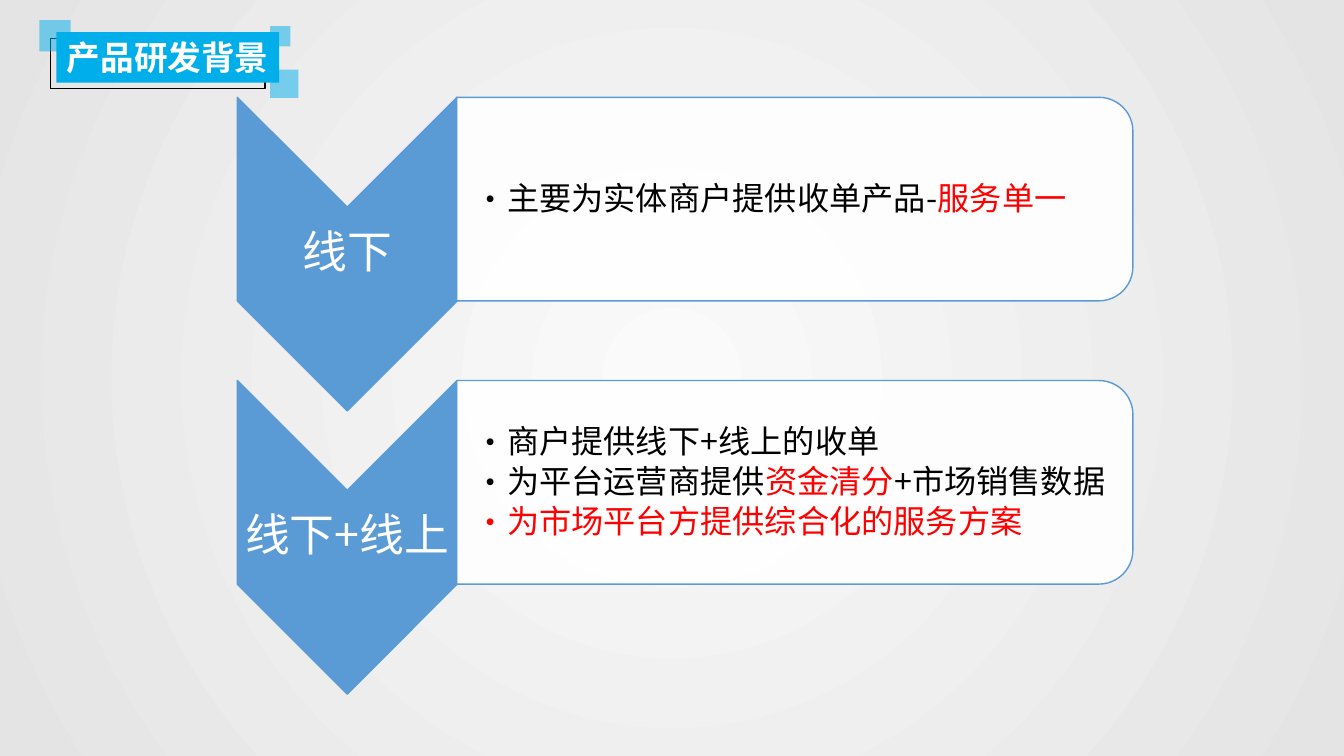
from dataclasses import dataclass

from lxml import etree
from pptx import Presentation
from pptx.dml.color import RGBColor
from pptx.enum.shapes import MSO_SHAPE
from pptx.enum.text import MSO_ANCHOR, MSO_AUTO_SIZE, PP_ALIGN
from pptx.oxml.ns import qn
from pptx.util import Pt

RECTANGLE = MSO_SHAPE.RECTANGLE
CHEVRON = MSO_SHAPE.CHEVRON
ROUNDED_TOP = MSO_SHAPE.ROUND_2_SAME_RECTANGLE
MIDDLE = MSO_ANCHOR.MIDDLE
NO_AUTOFIT = MSO_AUTO_SIZE.NONE
LEFT, CENTER = PP_ALIGN.LEFT, PP_ALIGN.CENTER
TWO_CONTENT = 3


@dataclass(frozen=True)
class Theme:
    font: str = "Noto Sans CJK SC"
    cyan: str = "00AEEA"
    blue: str = "5B9BD5"
    white: str = "FFFFFF"
    black: str = "000000"
    red: str = "FF0000"
    glow: str = "FAFAFA"
    edge: str = "E4E4E4"
    title_size: float = 24
    stage_size: float = 32
    point_size: float = 23


THEME = Theme()

# Each stage: its label and its points; a point is a list of (text, colour) runs
STAGES = [
    ("线下", [
        [("主要为实体商户提供收单产品-", THEME.black), ("服务单一", THEME.red)],
    ]),
    ("线下+线上", [
        [("商户提供线下+线上的收单", THEME.black)],
        [("为平台运营商提供", THEME.black), ("资金清分", THEME.red),
         ("+市场销售数据", THEME.black)],
        [("为市场平台方提供综合化的服务方案", THEME.red)],
    ]),
]

STAGE_TOP, STAGE_STEP = 69.5, 202.3
CHEVRON_LEFT, CHEVRON_WIDTH, CHEVRON_HEIGHT = 169.5, 157, 224
PANEL_LEFT, PANEL_WIDTH, PANEL_HEIGHT = 326.2, 483, 145.4

# Corner squares of the title: left, top, side
TITLE_SQUARES = [(193, 49.7, 20.2), (193, 18.7, 14.4), (28.1, 14.4, 22.3)]


def rgb(colour):
    return RGBColor.from_string(colour)


def place(shape, left, top, width, height):
    shape.left, shape.top = Pt(left), Pt(top)
    shape.width, shape.height = Pt(width), Pt(height)


def paint_background(slide):
    fill = slide.background.fill
    fill.gradient()
    for stop, colour in zip(fill.gradient_stops, (THEME.glow, THEME.edge)):
        stop.color.rgb = rgb(colour)
    gradient = slide.element.find(".//" + qn("a:gradFill"))
    linear = gradient.find(qn("a:lin"))
    circle = etree.Element(qn("a:path"), {"path": "circle"})
    etree.SubElement(circle, qn("a:fillToRect"),
                     {side: "50000" for side in "ltrb"})
    gradient.replace(linear, circle)


def add_block(slide, kind, box, fill=None, opacity=100, line=None):
    block = slide.shapes.add_shape(kind, *(Pt(length) for length in box))
    block.shadow.inherit = False
    if fill:
        block.fill.solid()
        block.fill.fore_color.rgb = rgb(fill)
        if opacity < 100:
            colour = block.element.spPr.find(".//" + qn("a:srgbClr"))
            etree.SubElement(colour, qn("a:alpha"), val=str(opacity * 1000))
    else:
        block.fill.background()
    if line:
        block.line.color.rgb = rgb(line)
        block.line.width = Pt(1)
    else:
        block.line.fill.background()
    return block


def add_turned_block(slide, kind, box, **style):
    """Fill the given box with a shape turned a quarter clockwise."""
    left, top, width, height = box
    shift = (width - height) / 2
    block = add_block(slide, kind, (left + shift, top - shift, height, width),
                      **style)
    block.rotation = 90


def set_frame(frame, margins, wrap=True):
    frame.auto_size = NO_AUTOFIT
    frame.word_wrap = wrap
    frame.vertical_anchor = MIDDLE
    (frame.margin_left, frame.margin_top,
     frame.margin_right, frame.margin_bottom) = (Pt(m) for m in margins)


def set_paragraph(paragraph, align, line_spacing, after=0):
    paragraph.alignment = align
    paragraph.line_spacing = line_spacing
    paragraph.space_before = Pt(0)
    paragraph.space_after = Pt(after)


def add_run(paragraph, text, size, colour, bold=False):
    run = paragraph.add_run()
    run.text = text
    font = run.font
    font.name, font.size, font.bold = THEME.font, Pt(size), bold
    font.color.rgb = rgb(colour)
    latin = run.font._element.find(qn("a:latin"))
    latin.addnext(etree.Element(qn("a:ea"), typeface=THEME.font))


def set_bullet(paragraph, colour):
    properties = paragraph._p.get_or_add_pPr()
    properties.set("marL", str(Pt(18)))
    properties.set("indent", str(-Pt(18)))
    bullet_colour = etree.SubElement(properties, qn("a:buClr"))
    etree.SubElement(bullet_colour, qn("a:srgbClr"), val=colour)
    etree.SubElement(properties, qn("a:buFont"), typeface=THEME.font)
    etree.SubElement(properties, qn("a:buChar"), char="•")


def bring_to_front(slide, shape):
    slide.shapes.element.append(shape.element)


def build_title(slide, text):
    add_block(slide, RECTANGLE, (36, 27.4, 153.4, 36), line=THEME.black)
    for left, top, side in TITLE_SQUARES:
        add_block(slide, RECTANGLE, (left, top, side, side),
                  fill=THEME.cyan, opacity=50)
    title = slide.shapes.title
    place(title, 40.3, 23, 159.1, 36)
    title.fill.solid()
    title.fill.fore_color.rgb = rgb(THEME.cyan)
    set_frame(title.text_frame, (7.2, 3.6, 7.2, 3.6), wrap=False)
    heading = title.text_frame.paragraphs[0]
    set_paragraph(heading, CENTER, 1.0)
    add_run(heading, text, THEME.title_size, THEME.white, bold=True)
    bring_to_front(slide, title)


def build_stage_label(slide, top, text):
    add_turned_block(slide, CHEVRON,
                     (CHEVRON_LEFT, top, CHEVRON_WIDTH, CHEVRON_HEIGHT),
                     fill=THEME.blue, line=THEME.blue)
    label = slide.shapes.add_textbox(Pt(CHEVRON_LEFT), Pt(top + 78.1),
                                     Pt(CHEVRON_WIDTH), Pt(67))
    set_frame(label.text_frame, (1.4,) * 4)
    caption = label.text_frame.paragraphs[0]
    set_paragraph(caption, CENTER, Pt(34.5))
    add_run(caption, text, THEME.stage_size, THEME.white)


def build_stage_points(slide, body, top, points):
    add_turned_block(slide, ROUNDED_TOP,
                     (PANEL_LEFT, top, PANEL_WIDTH, PANEL_HEIGHT),
                     fill=THEME.white, opacity=90, line=THEME.blue)
    place(body, PANEL_LEFT, top + 6.8, 476, 131.8)
    frame = body.text_frame
    set_frame(frame, (13, 1.4, 1.4, 1.4))
    for index, runs in enumerate(points):
        point = frame.add_paragraph() if index else frame.paragraphs[0]
        set_paragraph(point, LEFT, Pt(25.2), after=3.45)
        set_bullet(point, runs[0][1])
        for text, colour in runs:
            add_run(point, text, THEME.point_size, colour)
    bring_to_front(slide, body)


def main():
    deck = Presentation()
    deck.slide_width, deck.slide_height = Pt(960), Pt(540)
    slide = deck.slides.add_slide(deck.slide_layouts[TWO_CONTENT])
    bodies = [slide.placeholders[1], slide.placeholders[2]]

    paint_background(slide)
    build_title(slide, "产品研发背景")
    for index, (body, (label, points)) in enumerate(zip(bodies, STAGES)):
        top = STAGE_TOP + index * STAGE_STEP
        build_stage_label(slide, top, label)
        build_stage_points(slide, body, top, points)

    deck.save("out.pptx")


if __name__ == "__main__":
    main()
